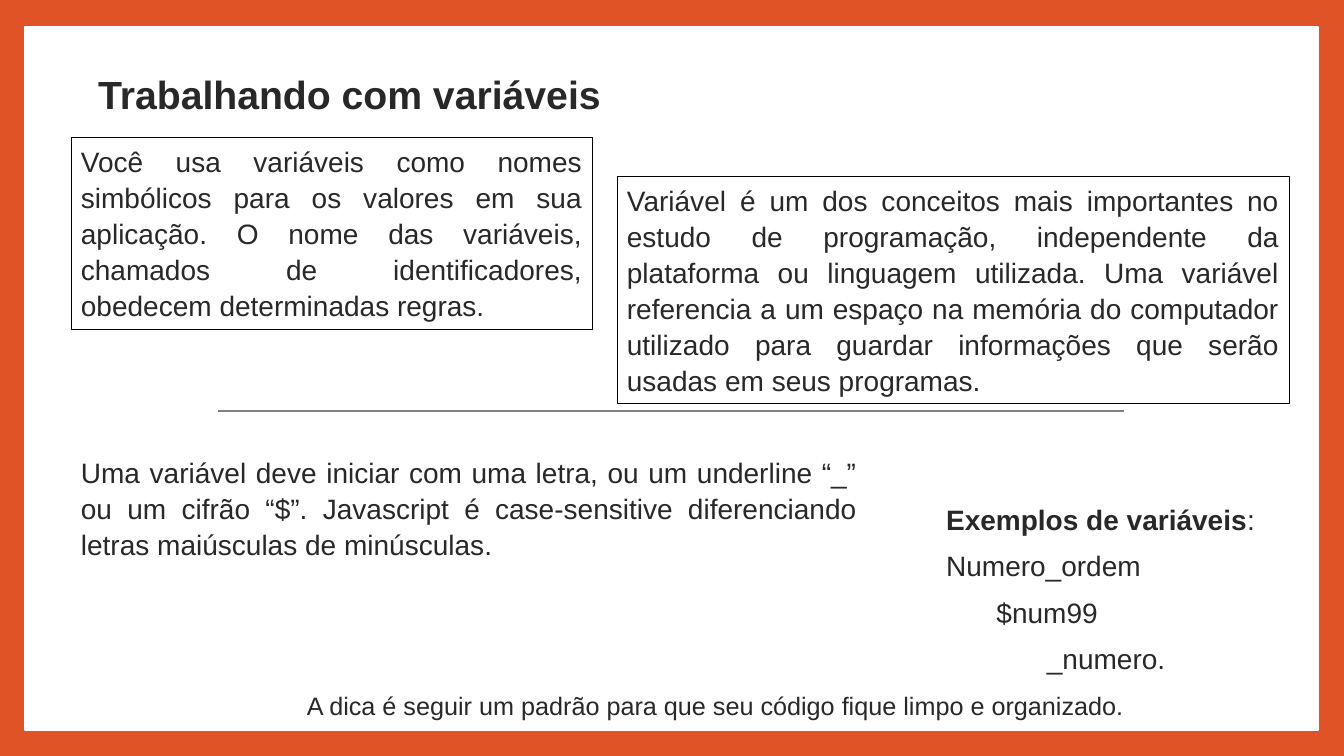
from lxml import etree
from pptx import Presentation
from pptx import util as u
from pptx.dml.color import RGBColor
from pptx.enum import shapes, text
from pptx.oxml.ns import qn

EMU_PER_PX = 914400 / 100.8
ORANGE, WHITE, BLACK, GRAY, INK = "DF5327", "FFFFFF", "000000", "808080", "282828"

INTRO = "Você usa variáveis como nomes simbólicos para os valores em sua aplicação. O nome das variáveis, chamados de identificadores, obedecem determinadas regras."
CONCEPT = "Variável é um dos conceitos mais importantes no estudo de programação, independente da plataforma ou linguagem utilizada. Uma variável referencia a um espaço na memória do computador utilizado para guardar informações que serão usadas em seus programas."
RULES = "Uma variável deve iniciar com uma letra, ou um underline “_” ou um cifrão “$”. Javascript é case-sensitive diferenciando letras maiúsculas de minúsculas."
TIP = "A dica é seguir um padrão para que seu código fique limpo e organizado."
EXAMPLES = ["Numero_ordem", "$num99", "_numero."]


def px(length):
    """Convert pixels to EMU."""
    return u.Emu(round(length * EMU_PER_PX))


def color(hex_value):
    """Convert a hex string to a colour."""
    return RGBColor.from_string(hex_value)


def place(shape, box):
    """Move a shape into a pixel box."""
    shape.left, shape.top, shape.width, shape.height = map(px, box)


def format_paragraph(paragraph, size=20, bold=None, align=text.PP_ALIGN.LEFT):
    """Apply the slide's paragraph spacing and font."""
    paragraph.alignment = align
    paragraph.line_spacing = 1.07
    paragraph.space_before = u.Pt(0)
    paragraph.space_after = u.Pt(7.5)
    font = paragraph.font
    font.name, font.size, font.bold = "Arial", u.Pt(size), bold
    font.color.rgb = color(INK)


def format_frame(frame, wrap=True):
    """Anchor a text frame at the top without fitting."""
    frame.word_wrap = wrap
    frame.auto_size = text.MSO_AUTO_SIZE.NONE
    frame.vertical_anchor = text.MSO_ANCHOR.TOP


def draw_background(slide, box):
    """Draw the orange border, white panel and divider."""
    left, top, width, height = box
    slide.background.fill.solid()
    slide.background.fill.fore_color.rgb = color(ORANGE)
    panel = slide.shapes.add_shape(shapes.MSO_SHAPE.RECTANGLE, *map(px, box))
    panel.shadow.inherit = False
    panel.fill.solid()
    panel.fill.fore_color.rgb = color(WHITE)
    panel.line.color.rgb = color(WHITE)
    panel.line.width = u.Pt(1)
    panel.element.getparent().insert(2, panel.element)
    middle, half, y = left + width / 2, 453, top + 384
    divider = slide.shapes.add_connector(
        shapes.MSO_CONNECTOR.STRAIGHT, px(middle - half), px(y), px(middle + half), px(y))
    divider.line.color.rgb = color(GRAY)
    divider.line.width = u.Pt(0.79)
    etree.SubElement(divider.element.spPr, qn("a:effectLst"))


def fill_title(title, box):
    """Place and format the slide title."""
    place(title, box)
    title.text_frame.text = "Trabalhando com variáveis"
    format_frame(title.text_frame, wrap=False)
    format_paragraph(title.text_frame.paragraphs[0], 28, True)


def fill_examples(body, box):
    """List the example names as steps below a bold heading."""
    place(body, box)
    frame = body.text_frame
    format_frame(frame)
    heading = frame.paragraphs[0]
    for words, bold in (("Exemplos de variáveis", True), (":", False)):
        run = heading.add_run()
        run.text, run.font.bold = words, bold
    for level, name in enumerate(EXAMPLES):
        paragraph = frame.add_paragraph()
        paragraph.text, paragraph.level = name, level
    for paragraph in frame.paragraphs:
        properties = paragraph._p.get_or_add_pPr()
        properties.set("marL", str(u.Inches(0.5 * paragraph.level)))
        properties.set("indent", "0")
        etree.SubElement(properties, qn("a:buNone"))
        format_paragraph(paragraph)


def add_text(slide, box, words, size=20, align=text.PP_ALIGN.JUSTIFY, outlined=False):
    """Add a paragraph box, with a thin outline if asked."""
    shape = slide.shapes.add_textbox(*map(px, box))
    if outlined:
        shape.line.color.rgb = color(BLACK)
        shape.line.width = u.Pt(0.25)
    shape.text_frame.text = words
    format_frame(shape.text_frame)
    format_paragraph(shape.text_frame.paragraphs[0], size, align=align)


def main():
    """Build and save the slide."""
    presentation = Presentation()
    presentation.slide_width, presentation.slide_height = px(1344), px(756)
    slide = presentation.slides.add_slide(presentation.slide_layouts[1])
    draw_background(slide, (25, 27, 1293, 703))
    fill_title(slide.shapes.title, (88, 62, 529, 61))
    fill_examples(slide.placeholders[1], (936, 495, 338, 189))
    add_text(slide, (71, 448, 796, 119), RULES)
    add_text(slide, (71, 137, 521, 192), INTRO, outlined=True)
    add_text(slide, (617, 176, 672, 227), CONCEPT, outlined=True)
    add_text(slide, (297, 683, 940, 43), TIP, 18, text.PP_ALIGN.LEFT)
    presentation.save("out.pptx")


if __name__ == "__main__":
    main()
